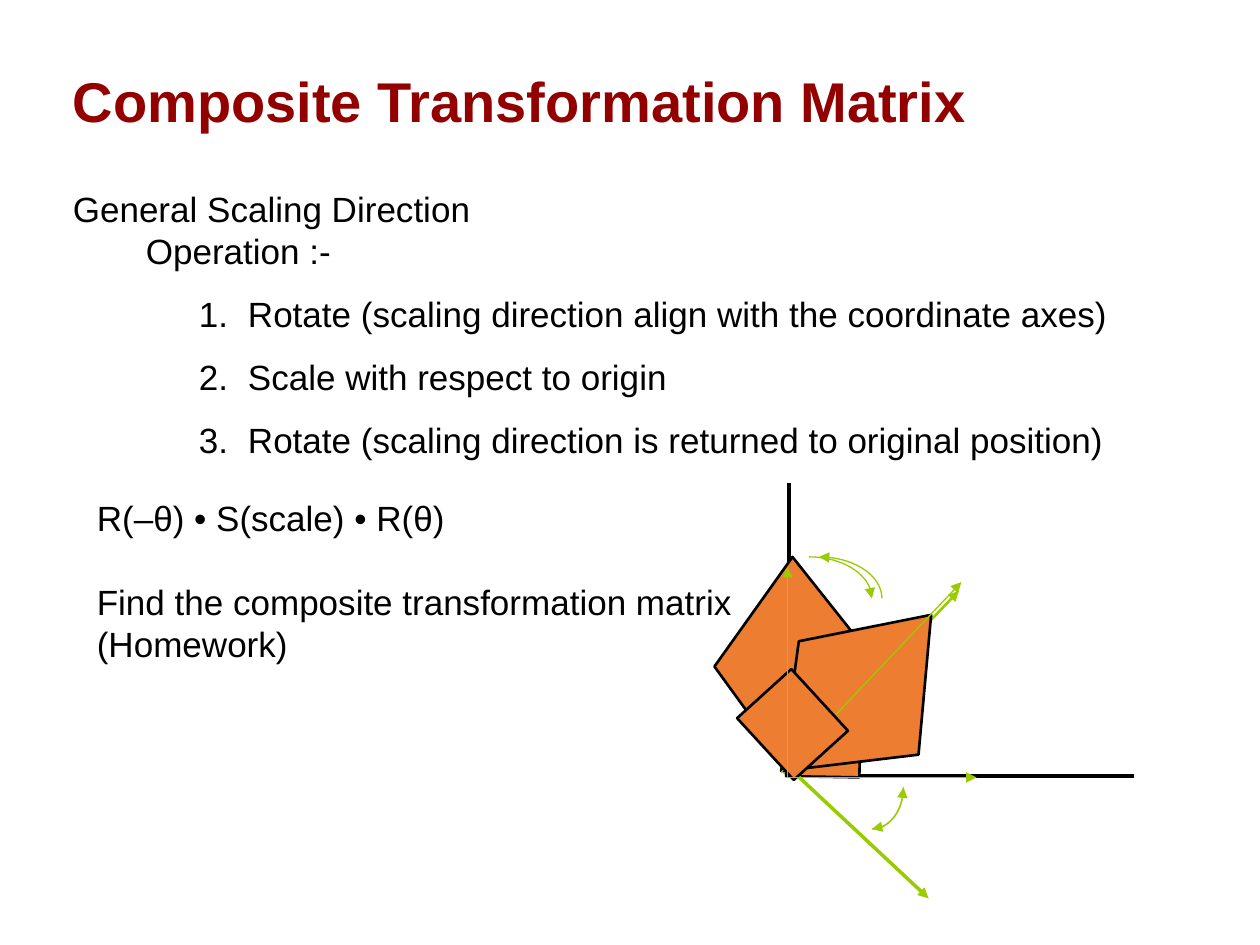
import math
from dataclasses import dataclass

import pptx
import pptx.dml.color
import pptx.enum.shapes
import pptx.enum.text
import pptx.oxml
import pptx.oxml.ns
import pptx.util
from pptx.util import Inches


@dataclass(frozen=True)
class Theme:
    font: str = "Arial"
    title_size: int = 32
    body_size: int = 20
    title: str = "920000"
    ink: str = "000000"
    shape: str = "ED7D31"
    arrow: str = "99CC00"


THEME = Theme()


def rgb(value):
    return pptx.dml.color.RGBColor.from_string(value)


def add_child(parent, tag, **attributes):
    child = pptx.oxml.parse_xml(f"<a:{tag} {pptx.oxml.ns.nsdecls('a')}/>")
    for name, value in attributes.items():
        child.set(name, str(value))
    parent.append(child)


def style_line(shape, color, width, head=False, tail=False):
    """Set the outline, with a triangle at its start (head) or end (tail)."""
    shape.line.color.rgb = rgb(color)
    shape.line.width = pptx.util.Pt(width)
    outline = shape.line._get_or_add_ln()
    if head:
        add_child(outline, "headEnd", type="triangle")
    if tail:
        add_child(outline, "tailEnd", type="triangle")


# Text
def add_text(page, box, lines, size, color, bold=False):
    frame = page.shapes.add_textbox(*map(Inches, box)).text_frame
    frame.word_wrap = True
    frame.text = "\n".join(lines)
    for para in frame.paragraphs:
        for span in para.runs:
            span.font.name = THEME.font
            span.font.size = pptx.util.Pt(size)
            span.font.bold = bold
            span.font.color.rgb = rgb(color)
    return frame


def indent(para, margin, hanging=0.0):
    properties = para._p.get_or_add_pPr()
    properties.set("marL", str(Inches(margin)))
    properties.set("indent", str(Inches(-hanging)))


def add_title(page, box):
    frame = add_text(page, box, ["Composite Transformation Matrix"],
                     THEME.title_size, THEME.title, bold=True)
    frame.vertical_anchor = pptx.enum.text.MSO_ANCHOR.MIDDLE
    frame.paragraphs[0].line_spacing = 0.9


def add_operations(page, box):
    lines = [
        "General Scaling Direction",
        "Operation :-",
        "Rotate (scaling direction align with the coordinate axes)",
        "Scale with respect to origin",
        "Rotate (scaling direction is returned to original position)",
    ]
    frame = add_text(page, box, lines, THEME.body_size, THEME.ink)
    indent(frame.paragraphs[1], 0.58)
    for para in frame.paragraphs[2:]:
        para.line_spacing = 1.5
        indent(para, 1.39, 0.39)
        add_child(para._p.get_or_add_pPr(), "buAutoNum", type="arabicPeriod")


def add_formula(page, box):
    lines = [
        "R(–θ) • S(scale) • R(θ)",
        "Find the composite transformation matrix",
        "(Homework)",
    ]
    frame = add_text(page, box, lines, THEME.body_size, THEME.ink)
    frame.paragraphs[1].space_before = pptx.util.Pt(24)


# Diagram
def add_diagram(page, box):
    left, top = box[:2]

    def place(point):
        return Inches(left + point[0]), Inches(top + point[1])

    def line(start, end, color, width, tail=False):
        connector = page.shapes.add_connector(
            pptx.enum.shapes.MSO_CONNECTOR.STRAIGHT, *place(start), *place(end))
        style_line(connector, color, width, tail=tail)
        add_child(connector._element.spPr, "effectLst")

    def arrow(start, end, width):
        line(start, end, THEME.arrow, width, tail=True)

    def outline(points, close):
        first, *rest = map(place, points)
        builder = page.shapes.build_freeform(*first)
        builder.add_line_segments(rest, close=close)
        shape = builder.convert_to_shape()
        shape.shadow.inherit = False
        return shape

    def polygon(*points):
        shape = outline(points, close=True)
        shape.fill.solid()
        shape.fill.fore_color.rgb = rgb(THEME.shape)
        style_line(shape, THEME.ink, 1.5)

    def quarter_arc(center, radii, start, **ends):
        """Turn from the start angle to the point right of the center."""
        steps = 24
        angles = [math.radians(start * (1 - i / steps)) for i in range(steps + 1)]
        points = [(center[0] + radii[0] * math.cos(angle),
                   center[1] + radii[1] * math.sin(angle)) for angle in angles]
        shape = outline(points, close=False)
        shape.fill.background()
        style_line(shape, THEME.arrow, 0.75, **ends)

    upper_radii, lower_radii = (0.5, 0.33), (0.25, 0.33)
    lower_center = (1.25, 2.42)

    # Coordinate axes
    line((0.59, 0), (0.59, 2.33), THEME.ink, 2)
    line((0.59, 2.33), (3.33, 2.33), THEME.ink, 2)

    # Scaled shape, and the unit square with its scaling direction
    polygon((0.61, 2.3), (0, 1.46), (0.62, 0.59), (1.31, 1.46))
    arrow((0.55, 2.31), (1.94, 0.86), 1.5)
    polygon((0.57, 2.33), (0.59, 1.66), (1.17, 1.68), (1.15, 2.34))

    # Shape turned back to the scaling direction
    polygon((0.53, 2.29), (0.67, 1.26), (1.72, 1.05), (1.62, 2.16))
    arrow((0.62, 2.29), (1.7, 3.3), 2)
    arrow((0.53, 2.3), (1.96, 0.79), 0.75)
    quarter_arc(lower_center, lower_radii, 90, head=True)
    quarter_arc((0.75, 0.92), upper_radii, -90, tail=True)

    # Square aligned with the axes
    polygon((0.63, 2.36), (0.18, 1.87), (0.61, 1.48), (1.06, 1.97))
    quarter_arc(lower_center, lower_radii, 90, tail=True)
    quarter_arc((0.83, 0.92), upper_radii, -90, head=True)
    for end in ((2.08, 2.34), (0.58, 0.67)):
        arrow((0.58, 2.34), end, 1)


def main():
    deck = pptx.Presentation()
    deck.slide_width, deck.slide_height = Inches(10), Inches(7.5)
    page = deck.slides.add_slide(deck.slide_layouts[6])
    add_title(page, (0.48, 0.2, 8.5, 1.25))
    add_operations(page, (0.48, 1.44, 8.47, 2.29))
    add_formula(page, (0.67, 3.89, 5.35, 1.45))
    add_diagram(page, (5.67, 3.83, 3.33, 3.3))
    deck.save("out.pptx")


if __name__ == "__main__":
    main()
